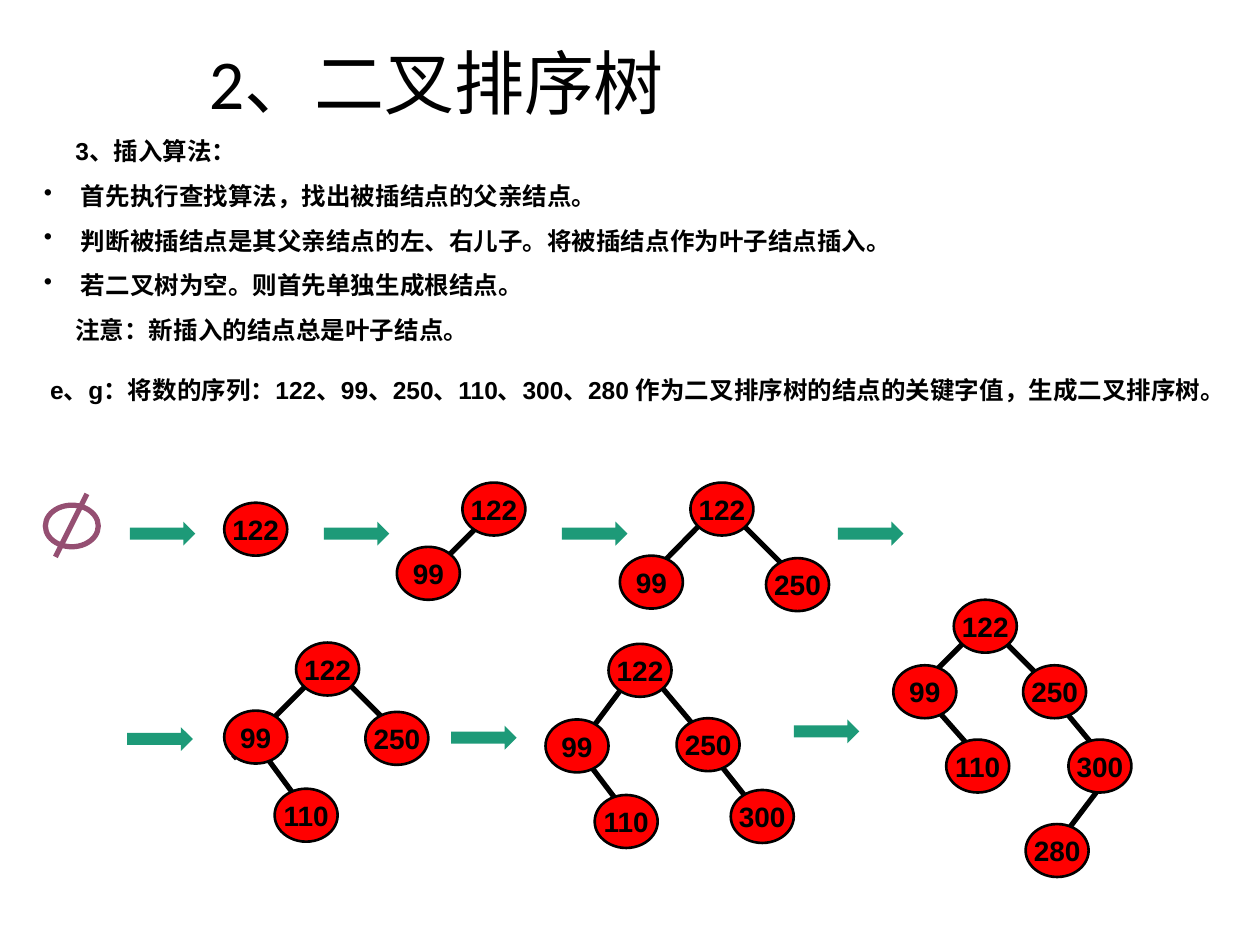
import pptx
import pptx.util
import pptx.dml.color
import pptx.enum.shapes
import pptx.enum.text
import pptx.oxml.ns
import lxml.etree

Inches = pptx.util.Inches
Pt = pptx.util.Pt
Shapes = pptx.enum.shapes.MSO_SHAPE
Anchor = pptx.enum.text.MSO_ANCHOR

BLACK = "000000"
NODE_SIZE = (0.5, 0.42)
ARROW_SIZE = (0.52, 0.19)


def colour(value):
    return pptx.dml.color.RGBColor.from_string(value)


class Slide:
    font = "Arial"
    body_size = 14
    node_size = 16
    node_fill = "FF0000"
    arrow_fill = "1D9A78"
    empty_line = "954F72"

    def __init__(self, page):
        self.page = page

    def add_span(self, para, text, size, font=None, bold=True):
        span = para.add_run()
        span.text = text
        span.font.name = font or self.font
        span.font.size = Pt(size)
        span.font.bold = bold
        span.font.color.rgb = colour(BLACK)

    def text_box(self, left, top, width, height):
        box = self.page.shapes.add_textbox(
            Inches(left), Inches(top), Inches(width), Inches(height))
        box.text_frame.word_wrap = True
        return box.text_frame

    def title(self, text, *place):
        frame = self.text_box(*place)
        frame.vertical_anchor = Anchor.MIDDLE
        para = frame.paragraphs[0]
        para.line_spacing = 0.9
        self.add_span(para, text, 40, "Calibri", False)

    def body(self, lines, *place):
        frame = self.text_box(*place)
        for index, (text, bulleted) in enumerate(lines):
            para = frame.add_paragraph() if index else frame.paragraphs[0]
            properties = para._p.get_or_add_pPr()
            properties.set("marL", str(Inches(0.5)))
            properties.set("indent", str(Inches(-0.25 if bulleted else 0)))
            if bulleted:
                bullet = lxml.etree.SubElement(properties, pptx.oxml.ns.qn("a:buChar"))
                bullet.set("char", "•")
            if index:
                para.space_before = Pt(8.8)
            self.add_span(para, text, self.body_size)

    def shape(self, parent, kind, place, fill, line=None, weight=0):
        shape = parent.shapes.add_shape(kind, *[Inches(value) for value in place])
        shape.shadow.inherit = False
        shape.fill.solid()
        shape.fill.fore_color.rgb = colour(fill)
        if line:
            shape.line.color.rgb = colour(line)
            shape.line.width = Pt(weight)
        else:
            shape.line.fill.background()
        return shape

    def line(self, parent, ends, shade=BLACK):
        connector = parent.shapes.add_connector(
            pptx.enum.shapes.MSO_CONNECTOR.STRAIGHT, *[Inches(value) for value in ends])
        connector.line.color.rgb = colour(shade)
        connector.line.width = Pt(3)
        lxml.etree.SubElement(connector._element.spPr, pptx.oxml.ns.qn("a:effectLst"))

    def node(self, parent, key, left, top):
        node = self.shape(parent, Shapes.OVAL, (left, top, *NODE_SIZE),
                          self.node_fill, BLACK, 1.5)
        frame = node.text_frame
        frame.word_wrap = False
        frame.vertical_anchor = Anchor.MIDDLE
        para = frame.paragraphs[0]
        para.alignment = pptx.enum.text.PP_ALIGN.CENTER
        self.add_span(para, str(key), self.node_size)

    def tree(self, nodes, edges):
        group = self.page.shapes.add_group_shape()
        for ends in edges:
            self.line(group, ends)
        for key, (left, top) in nodes.items():
            self.node(group, key, left, top)

    def empty_tree(self):
        group = self.page.shapes.add_group_shape()
        self.shape(group, Shapes.OVAL, (0.36, 4.01, 0.42, 0.33),
                   "FFFFFF", self.empty_line, 3)
        self.line(group, (0.69, 3.92, 0.44, 4.42), self.empty_line)

    def arrow(self, left, top):
        self.shape(self.page, Shapes.RIGHT_ARROW, (left, top, *ARROW_SIZE), self.arrow_fill)


STEPS = [
    ("3、插入算法：", False),
    (" 首先执行查找算法，找出被插结点的父亲结点。", True),
    (" 判断被插结点是其父亲结点的左、右儿子。将被插结点作为叶子结点插入。", True),
    (" 若二叉树为空。则首先单独生成根结点。", True),
    ("注意：新插入的结点总是叶子结点。", False),
]
EXAMPLE = [("e、g：将数的序列：122、99、250、110、300、280 "
            "作为二叉排序树的结点的关键字值，生成二叉排序树。", False)]

TREES = [
    ({122: (3.67, 3.83), 99: (3.15, 4.34)},
     [(3.91, 4.06, 3.33, 4.64)]),
    ({122: (5.48, 3.83), 250: (6.08, 4.43), 99: (4.92, 4.41)},
     [(5.56, 4.16, 4.98, 4.75), (5.89, 4.16, 6.39, 4.66)]),
    ({122: (2.35, 5.1), 250: (2.9, 5.65), 110: (2.18, 6.26), 99: (1.78, 5.64)},
     [(2.44, 5.43, 1.85, 6.02), (2.77, 5.43, 3.27, 5.93), (2.1, 5.99, 2.35, 6.33)]),
    ({122: (4.83, 5.11), 250: (5.37, 5.7), 300: (5.8, 6.27),
      110: (4.72, 6.31), 99: (4.33, 5.71)},
     [(4.65, 6.03, 4.9, 6.36), (5.24, 5.44, 5.66, 5.94),
      (4.93, 5.47, 4.58, 5.94), (5.67, 6.01, 6.05, 6.49)]),
    ({122: (7.57, 4.76), 250: (8.12, 5.28), 300: (8.48, 5.87),
      110: (7.51, 5.87), 280: (8.14, 6.54), 99: (7.09, 5.28)},
     [(7.38, 5.57, 7.76, 6), (8.73, 6.25, 8.48, 6.58), (7.76, 4.99, 7.18, 5.57),
      (7.87, 4.99, 8.37, 5.49), (8.39, 5.57, 8.73, 5.98)]),
]
ARROWS = [(1.03, 4.14), (2.57, 4.14), (4.46, 4.14), (6.65, 4.14),
          (1.01, 5.77), (3.58, 5.76), (6.3, 5.71)]


def main():
    deck = pptx.Presentation()
    deck.slide_width = Inches(10)
    deck.slide_height = Inches(7.5)
    slide = Slide(deck.slides.add_slide(deck.slide_layouts[6]))
    slide.title("2、二叉排序树", 1.56, 0.32, 7.55, 0.74)
    slide.body(STEPS, 0, 1.03, 7.42, 1.76)
    slide.body(EXAMPLE, -0.2, 2.93, 10.15, 0.57)
    slide.empty_tree()
    slide.node(slide.page, 122, 1.78, 3.99)
    for nodes, edges in TREES:
        slide.tree(nodes, edges)
    for left, top in ARROWS:
        slide.arrow(left, top)
    deck.save("out.pptx")


if __name__ == "__main__":
    main()
